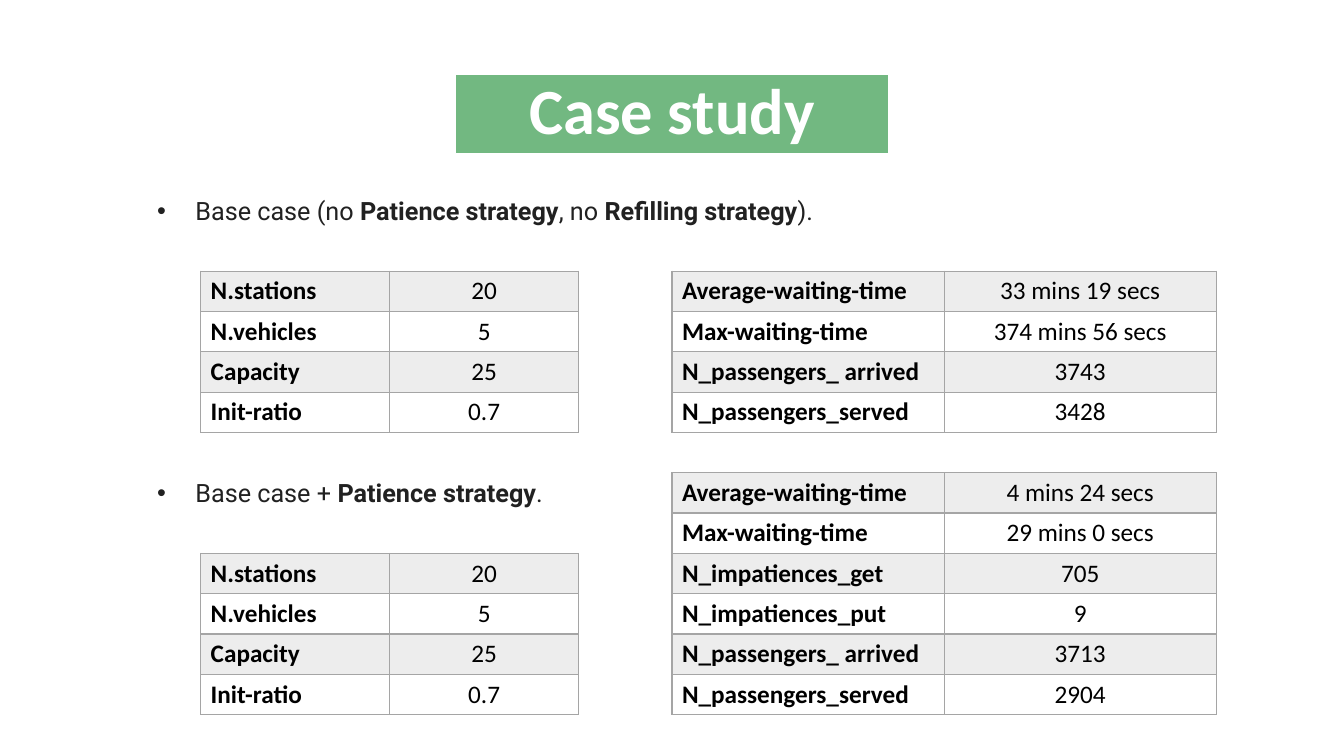
from dataclasses import dataclass

from lxml.etree import SubElement
from pptx import Presentation
from pptx.dml.color import RGBColor
from pptx.enum.text import MSO_ANCHOR as Anchor, MSO_AUTO_SIZE as AutoSize, PP_ALIGN as Align
from pptx.oxml import parse_xml
from pptx.oxml.ns import nsdecls, qn
from pptx.slide import Slide
from pptx.table import _Cell as Cell
from pptx.util import Inches, Length, Pt


@dataclass(frozen=True)
class Theme:
    green: str = "72B881"
    white: str = "FFFFFF"
    ink: str = "212121"
    black: str = "000000"
    gray: str = "A5A5A5"
    band_opacity: int = 20
    title_font: str = "Calibri"
    label_font: str = "Roboto"
    table_font: str = "Calibri"
    title_size: int = 46
    body_size: int = 18


@dataclass(frozen=True)
class CaseLabel:
    row: int
    phrases: tuple[str, ...]  # plain and bold phrases alternate


@dataclass(frozen=True)
class CaseTable:
    left: float
    width: float
    row: int
    entries: dict[str, str]


THEME = Theme()
WIDTH, HEIGHT = Inches(13.33), Inches(7.5)

# Grid: columns in percent of the slide's width, equal rows below the title
LABEL_LEFT, LABEL_WIDTH = 10.95, 78.2
SETUP_LEFT, SETUP_WIDTH = 14.93, 28.13
RESULT_LEFT, RESULT_WIDTH = 50.0, 40.5
TITLE_WIDTH, TITLE_TOP, TITLE_HEIGHT = 32.2, 9.87, 10.4
GRID_TOP, ROW_HEIGHT = Inches(1.89), Inches(0.4)

SETUP = {"N.stations": "20", "N.vehicles": "5", "Capacity": "25", "Init-ratio": "0.7"}
BASE_RESULTS = {
    "Average-waiting-time": "33 mins 19 secs",
    "Max-waiting-time": "374 mins 56 secs",
    "N_passengers_ arrived": "3743",
    "N_passengers_served": "3428",
}
PATIENCE_RESULTS = {
    "Average-waiting-time": "4 mins 24 secs",
    "Max-waiting-time": "29 mins 0 secs",
    "N_impatiences_get": "705",
    "N_impatiences_put": "9",
    "N_passengers_ arrived": "3713",
    "N_passengers_served": "2904",
}
LABELS = (
    CaseLabel(0, ("Base case (no ", "Patience strategy", ", no ", "Refilling strategy", ").")),
    CaseLabel(7, ("Base case + ", "Patience strategy", ".")),
)
TABLES = (
    CaseTable(SETUP_LEFT, SETUP_WIDTH, 2, SETUP),
    CaseTable(RESULT_LEFT, RESULT_WIDTH, 2, BASE_RESULTS),
    CaseTable(SETUP_LEFT, SETUP_WIDTH, 9, SETUP),
    CaseTable(RESULT_LEFT, RESULT_WIDTH, 7, PATIENCE_RESULTS),
)


def across(percent: float) -> Length:
    return Length(round(WIDTH * percent / 100))


def down(percent: float) -> Length:
    return Length(round(HEIGHT * percent / 100))


def row_top(row: int) -> Length:
    return Length(GRID_TOP + row * ROW_HEIGHT)


def format_font(font, name: str, size: int, color: str, bold: bool) -> None:
    font.name, font.size, font.bold = name, Pt(size), bold
    font.color.rgb = RGBColor.from_string(color)


def add_title(slide: Slide, text: str) -> None:
    title = slide.shapes.title
    title.left, title.top = across((100 - TITLE_WIDTH) / 2), down(TITLE_TOP)
    title.width, title.height = across(TITLE_WIDTH), down(TITLE_HEIGHT)
    title.fill.solid()
    title.fill.fore_color.rgb = RGBColor.from_string(THEME.green)
    title.line.color.rgb = RGBColor.from_string(THEME.white)
    title.line.width = Pt(0.75)
    frame = title.text_frame
    frame.text = text
    frame.auto_size, frame.vertical_anchor = AutoSize.NONE, Anchor.MIDDLE
    paragraph = frame.paragraphs[0]
    paragraph.alignment, paragraph.line_spacing = Align.CENTER, 0.9
    format_font(paragraph.runs[0].font, THEME.title_font, THEME.title_size, THEME.white, True)


def add_label(slide: Slide, label: CaseLabel) -> None:
    box = slide.shapes.add_textbox(
        across(LABEL_LEFT), row_top(label.row), across(LABEL_WIDTH), ROW_HEIGHT)
    frame = box.text_frame
    frame.word_wrap, frame.auto_size = True, AutoSize.SHAPE_TO_FIT_TEXT
    paragraph = frame.paragraphs[0]
    properties = paragraph._p.get_or_add_pPr()
    indent = Inches(0.38)
    properties.set("marL", str(indent))
    properties.set("indent", str(-indent))
    SubElement(properties, qn("a:buFont")).set("typeface", "Arial")
    SubElement(properties, qn("a:buChar")).set("char", "•")
    for index, phrase in enumerate(label.phrases):
        run = paragraph.add_run()
        run.text = phrase
        format_font(run.font, THEME.label_font, THEME.body_size, THEME.ink, index % 2 == 1)


def format_cell(cell: Cell, text: str, is_name: bool, banded: bool) -> None:
    cell.text = text
    cell.vertical_anchor = Anchor.MIDDLE
    cell.margin_top = cell.margin_bottom = Inches(0.04)
    paragraph = cell.text_frame.paragraphs[0]
    paragraph.alignment = Align.LEFT if is_name else Align.CENTER
    format_font(paragraph.runs[0].font, THEME.table_font, THEME.body_size, THEME.black, is_name)

    # Translucent band
    properties = cell._tc.get_or_add_tcPr()
    if banded:
        cell.fill.solid()
        cell.fill.fore_color.rgb = RGBColor.from_string(THEME.gray)
        color = properties.find(".//" + qn("a:srgbClr"))
        SubElement(color, qn("a:alpha")).set("val", str(THEME.band_opacity * 1000))
    else:
        cell.fill.background()

    # Borders come before the fill
    for index, side in enumerate(("lnL", "lnR", "lnT", "lnB")):
        properties.insert(index, parse_xml(
            f'<a:{side} {nsdecls("a")} w="{Pt(1)}"><a:solidFill>'
            f'<a:srgbClr val="{THEME.gray}"/></a:solidFill></a:{side}>'))


def add_case_table(slide: Slide, case_table: CaseTable) -> None:
    count = len(case_table.entries)
    table = slide.shapes.add_table(
        count, 2, across(case_table.left), row_top(case_table.row),
        across(case_table.width), Length(count * ROW_HEIGHT)).table
    table.first_row = table.horz_banding = False
    for row, entry in enumerate(case_table.entries.items()):
        for column, text in enumerate(entry):
            format_cell(table.cell(row, column), text, column == 0, row % 2 == 0)


def main() -> None:
    presentation = Presentation()
    presentation.slide_width, presentation.slide_height = WIDTH, HEIGHT
    slide = presentation.slides.add_slide(presentation.slide_layouts[5])
    add_title(slide, "Case study")
    for label in LABELS:
        add_label(slide, label)
    for case_table in TABLES:
        add_case_table(slide, case_table)
    presentation.save("out.pptx")


if __name__ == "__main__":
    main()
